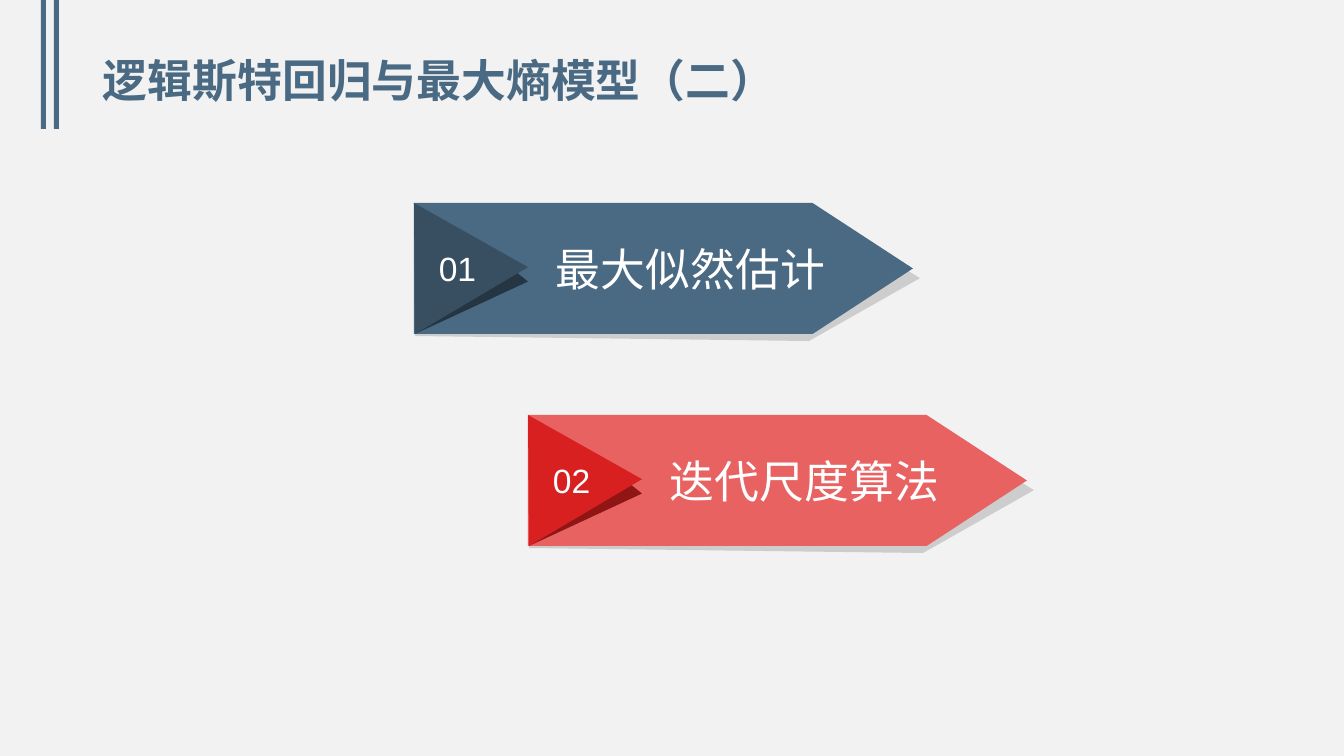
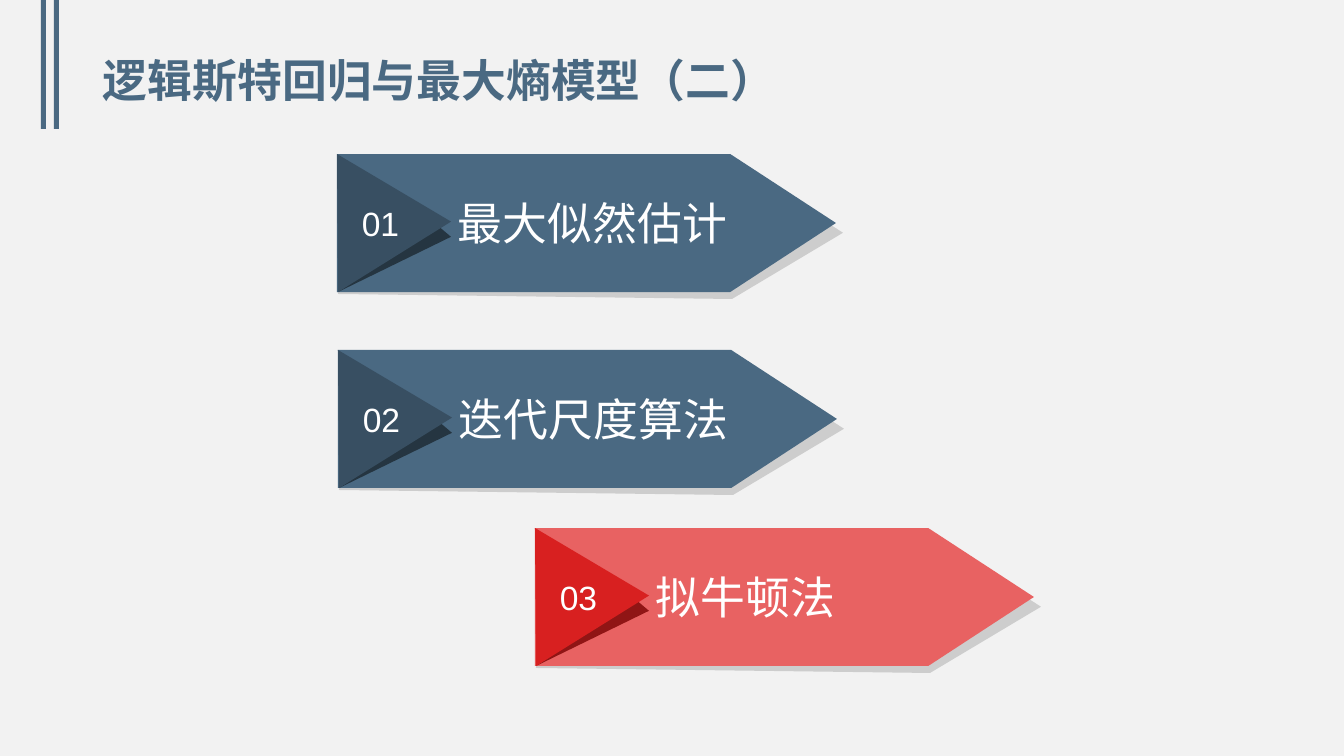
from dataclasses import dataclass

from pptx import Presentation
from pptx.dml.color import RGBColor
from pptx.enum.shapes import MSO_SHAPE
from pptx.enum.text import MSO_ANCHOR, PP_ALIGN
from pptx.util import Pt

EMU_PER_PX = 914400 / 100.8


@dataclass(frozen=True)
class Theme:
    """Colours, font and type sizes shared by the slides."""
    font: str = "Arial"
    background: str = "F2F2F2"
    accent: str = "4A6982"
    white: str = "FFFFFF"
    shadow: str = "CDCDCD"
    heading_size: int = 32
    number_size: int = 24


@dataclass(frozen=True)
class Palette:
    """Colours of one arrow: plate, triangle and the fold beneath it."""
    plate: str
    triangle: str
    fold: str


THEME = Theme()
BLUE = Palette(THEME.accent, "384F62", "253541")
RED = Palette("E86262", "D82020", "901515")
TITLE = "逻辑斯特回归与最大熵模型（二）"
PLATE_WIDTH = 499
PLATE_ADJUSTMENT = 0.766


def px(value):
    """Turn pixels into EMU."""
    return round(value * EMU_PER_PX)


def paint(shape, color):
    """Give a shape a flat fill without outline or shadow."""
    shape.shadow.inherit = False
    shape.fill.solid()
    shape.fill.fore_color.rgb = RGBColor.from_string(color)
    shape.line.fill.background()


def write(shape, text, size, color, left=0, right=0, align=PP_ALIGN.LEFT, bold=False):
    """Put one vertically centred paragraph into a shape."""
    tf = shape.text_frame
    tf.word_wrap = True
    tf.vertical_anchor = MSO_ANCHOR.MIDDLE
    tf.margin_left, tf.margin_right = px(left), px(right)
    tf.margin_top = tf.margin_bottom = 0
    p = tf.paragraphs[0]
    p.text = text
    p.alignment = align
    font = p.runs[0].font
    font.name, font.size, font.bold = THEME.font, Pt(size), bold
    font.color.rgb = RGBColor.from_string(color)
    return p


def add_preset(shapes, kind, box, color):
    """Add a painted preset shape."""
    sp = shapes.add_shape(kind, *map(px, box))
    paint(sp, color)
    return sp


def add_polygon(shapes, x, y, points, color):
    """Add a closed painted outline with points relative to x, y."""
    start, *rest = [(px(x + dx), px(y + dy)) for dx, dy in points]
    builder = shapes.build_freeform(*start)
    builder.add_line_segments(rest, close=True)
    sp = builder.convert_to_shape()
    paint(sp, color)
    return sp


def add_arrow(s, x, y, height, indent, number, label, palette):
    """Add a numbered arrow with its shadow and folded triangle."""
    shapes = s.shapes.add_group_shape().shapes
    drop = 7
    add_polygon(shapes, x, y, [
        (4, drop), (395, drop), (506, 0.52 * height + drop),
        (395, height + drop), (1, height + 2)], THEME.shadow)
    plate = add_preset(shapes, MSO_SHAPE.PENTAGON,
                       (x, y, PLATE_WIDTH, height), palette.plate)
    plate.adjustments[0] = PLATE_ADJUSTMENT
    write(plate, label, THEME.heading_size, THEME.white, left=indent)
    add_polygon(shapes, x, y, [
        (101, 0.52 * height), (114, 0.6 * height), (1, height)], palette.fold)
    triangle = add_polygon(shapes, x, y, [
        (0, 0), (114, 0.49 * height), (1, height)], palette.triangle)
    write(triangle, number, THEME.number_size, THEME.white,
          left=4, right=31, align=PP_ALIGN.CENTER)


def add_title(s):
    """Add the two bars and the title."""
    for x in (41, 54):
        add_preset(s.shapes, MSO_SHAPE.RECTANGLE, (x, 0, 5, 129), THEME.accent)
    box = s.shapes.add_textbox(*map(px, (93, 43, 1159, 80)))
    p = write(box, TITLE, THEME.heading_size, THEME.accent, left=10, right=10, bold=True)
    p.line_spacing = 0.9


def add_agenda(prs, height, indent, items):
    """Add a slide of arrows numbered in order."""
    s = prs.slides.add_slide(prs.slide_layouts[6])
    add_title(s)
    for index, (x, y, label, palette) in enumerate(items, 1):
        add_arrow(s, x, y, height, indent, f"{index:02}", label, palette)


def main():
    """Build and save the presentation."""
    prs = Presentation()
    prs.slide_width, prs.slide_height = px(1344), px(756)
    fill = prs.slide_master.background.fill
    fill.solid()
    fill.fore_color.rgb = RGBColor.from_string(THEME.background)
    add_agenda(prs, 131, 142, [
        (414, 203, "最大似然估计", BLUE),
        (528, 415, "迭代尺度算法", RED)])
    add_agenda(prs, 138, 121, [
        (337, 154, "最大似然估计", BLUE),
        (338, 350, "迭代尺度算法", BLUE),
        (535, 528, "拟牛顿法", RED)])
    prs.save("out.pptx")


main()
